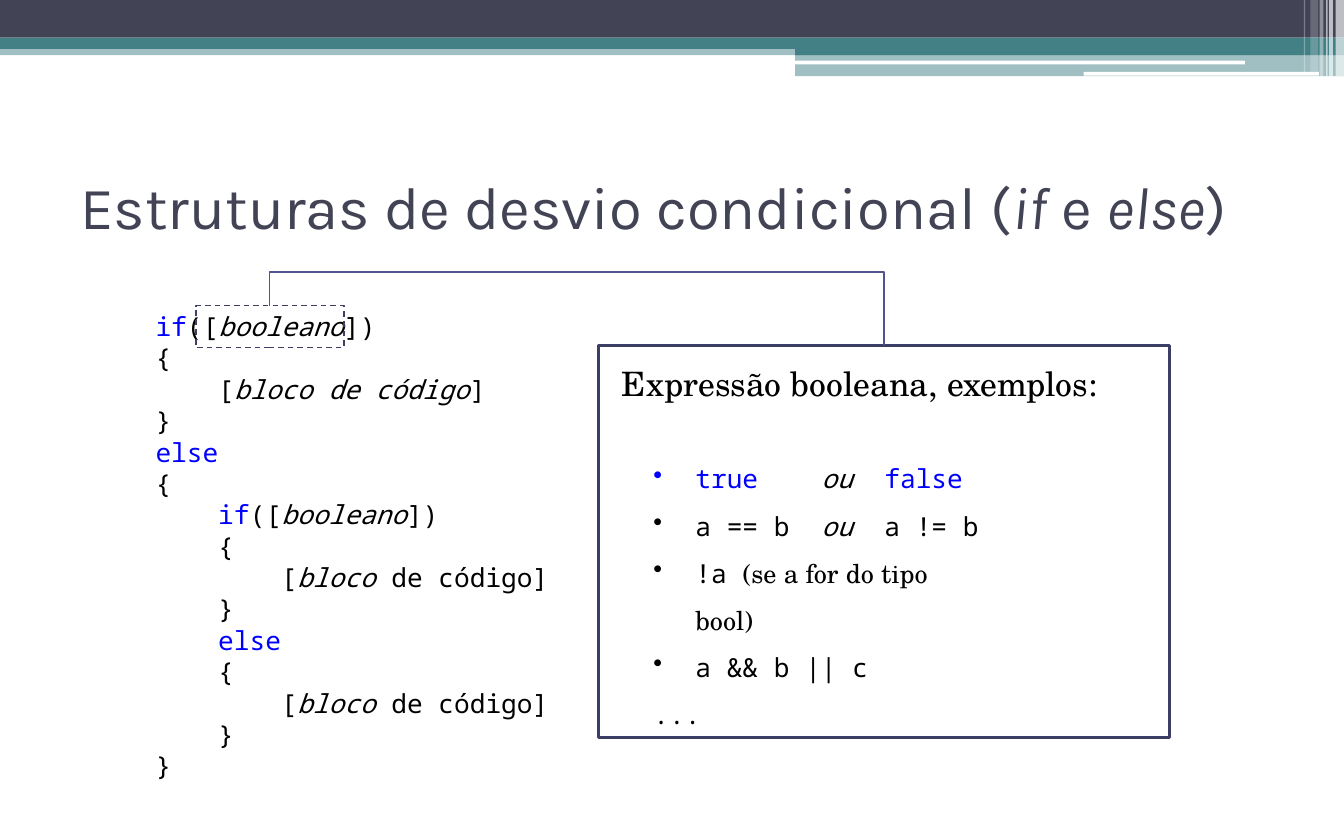
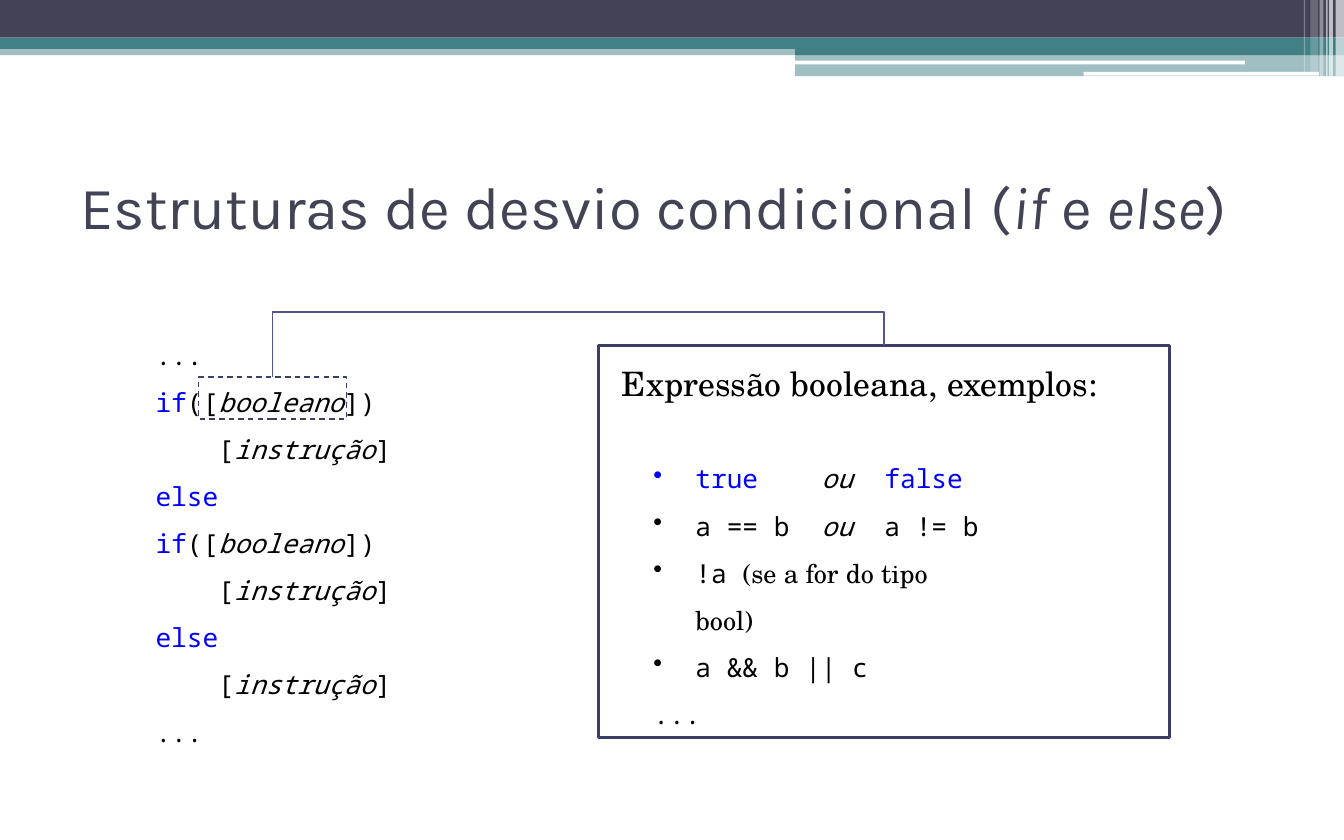
from lxml.etree import SubElement
from pptx import Presentation
from pptx.dml.color import RGBColor
from pptx.enum.dml import MSO_LINE_DASH_STYLE as DASH
from pptx.enum.shapes import MSO_CONNECTOR as CONN, MSO_SHAPE as SHAPE
from pptx.enum.text import MSO_ANCHOR as ANCHOR
from pptx.oxml.ns import qn
from pptx.util import Pt

NAVY, TEAL, WHITE = "424456", "438086", "FFFFFF"
FRAME, LINK, BLACK, BLUE = "3D3E66", "53548A", "000000", "0000FF"
HEAD, MONO, SERIF = "Karla", "Noto Sans Mono", "TeX Gyre Schola"

TITLE = [("Estruturas de desvio condicional (", ""), ("if", "i"), (" e ", ""), ("else", "i"), (")", "")]
BOOL = [("([", ""), ("booleano", "i"), ("])", "")]
BLOCK = [("        [", ""), ("bloco", "i"), (" de código]", "")]
STEP = [("    [", ""), ("instrução", "i"), ("]", "")]
DOTS = [("...", "")]

BLOCK_CODE = [
    [("if", "b")] + BOOL,
    [("{", "")],
    [("    [", ""), ("bloco de código", "i"), ("]", "")],
    [("}", "")],
    [("else", "b")],
    [("{", "")],
    [("    if", "b")] + BOOL,
    [("    {", "")],
    BLOCK,
    [("    }", "")],
    [("    else", "b")],
    [("    {", "")],
    BLOCK,
    [("    }", "")],
    [("}", "")],
]
SHORT_CODE = [
    DOTS,
    [("if", "b")] + BOOL,
    STEP,
    [("else if", "b")] + BOOL,
    STEP,
    [("else", "b")],
    STEP,
    DOTS,
]
EXAMPLES = [
    [("true\t", "b"), ("ou", "i"), ("\tfalse", "b")],
    [("a == b\t", ""), ("ou", "i"), ("\ta != b", "")],
    [("!a ", ""), ("(se a for do tipo bool)", "s")],
    [("a && b || c", "")],
]


def rgb(color):
    """Turn a hex string into a colour."""
    return RGBColor.from_string(color)


def add_box(s, x, y, w, h, fill=None, alpha=100, line=None, weight=1, kind=SHAPE.RECTANGLE):
    """Add a preset shape with an optional fill, opacity and outline."""
    sp = s.shapes.add_shape(kind, Pt(x), Pt(y), Pt(w), Pt(h))
    sp.shadow.inherit = False
    if fill:
        sp.fill.solid()
        sp.fill.fore_color.rgb = rgb(fill)
        if alpha < 100:
            clr = sp.fill._xPr.find(qn("a:solidFill"))[0]
            SubElement(clr, qn("a:alpha"), val=str(alpha * 1000))
    else:
        sp.fill.background()
    if line:
        sp.line.color.rgb = rgb(line)
        sp.line.width = Pt(weight)
    else:
        sp.line.fill.background()
    return sp


def add_bullet(p, indent, stops):
    """Give a paragraph a hanging bullet and tab stops."""
    pPr = p._p.get_or_add_pPr()
    pPr.set("marL", str(Pt(indent)))
    pPr.set("indent", str(-Pt(indent)))
    SubElement(pPr, qn("a:buChar"), char="•")
    tabs = SubElement(pPr, qn("a:tabLst"))
    for stop in stops:
        SubElement(tabs, qn("a:tab"), pos=str(Pt(stop)), algn="l")


def add_text(s, x, y, w, h, lines, size, font, color=BLACK, spacing=1, bullets=0):
    """Add a text box of styled lines, the first ones bulleted."""
    tf = s.shapes.add_textbox(Pt(x), Pt(y), Pt(w), Pt(h)).text_frame
    tf.word_wrap = True
    for i, line in enumerate(lines):
        p = tf.paragraphs[0] if i == 0 else tf.add_paragraph()
        p.line_spacing = spacing
        if i < bullets:
            add_bullet(p, 22.5, (90, 123.75))
        for text, style in line:
            r = p.add_run()
            r.text = text
            r.font.size = Pt(size)
            r.font.name = SERIF if style == "s" else font
            r.font.italic = style == "i"
            r.font.color.rgb = rgb(BLUE if style == "b" else color)
    return tf


def add_banner(s, x, y, w):
    """Draw the coloured bands and the bright stripes at the right end."""
    split, right = x + 426, x + w
    add_box(s, x, y + 23.75, w, 5.75, TEAL, 50)
    add_box(s, x, y, w, 20.25, NAVY)
    add_box(s, x, y + 20.25, w, 6, TEAL)
    add_box(s, split, y + 23.75, right - split, 5.75, TEAL)
    add_box(s, split, y + 29.5, right - split, 11.25, TEAL, 50)
    for left, top, width in ((split, 32.5, 241), (x + 580.5, 38.5, 126)):
        add_box(s, left, y + top, width, 2, WHITE, kind=SHAPE.ROUNDED_RECTANGLE)
    stripes = ((4.5, 4.5, 41, 65), (8, 2, 41, 65), (9.5, 0.75, 41, 60),
               (13, 2, 41, 40), (18, 4.25, 38.5, 20), (21.5, 0.75, 38.5, 30))
    for inset, width, height, alpha in stripes:
        add_box(s, right - inset, y, width, height, WHITE, alpha)


def add_title(s, x, y, w, h):
    """Write the slide title, centred vertically."""
    tf = add_text(s, x, y, w, h, [TITLE], 32, HEAD, NAVY)
    tf.vertical_anchor = ANCHOR.MIDDLE


def add_examples(s, x, y, w, h):
    """Draw the framed list of boolean expressions."""
    add_box(s, x, y, w, h, line=FRAME, weight=1.5)
    add_text(s, x + 5.5, y + 5.75, 270, 29, [[("Expressão booleana, exemplos:", "")]], 18, SERIF)
    add_text(s, x + 22.5, y + 51, 193.5, 134.5, EXAMPLES + [DOTS], 14, MONO,
             spacing=1.5, bullets=len(EXAMPLES))


def add_link(s, x1, y1, x2, y2, lane):
    """Join two points by an elbow that runs along the height of the lane."""
    w, h, up = abs(y2 - y1), x2 - x1, y2 < y1
    x, y = (x1 + x2 - w) / 2, (y1 + y2 - h) / 2
    top, bottom = (y + h, y) if up else (y, y + h)
    c = s.shapes.add_connector(CONN.ELBOW, Pt(x + w), Pt(top), Pt(x), Pt(bottom))
    c.line.color.rgb = rgb(LINK)
    c.line.width = Pt(0.75)
    spPr = c._element.spPr
    spPr.find(qn("a:xfrm")).set("rot", str((90 if up else 270) * 60000))
    bend = round((lane - y1) / (y2 - y1) * 100000)
    guides = spPr.find(qn("a:prstGeom")).find(qn("a:avLst"))
    SubElement(guides, qn("a:gd"), name="adj1", fmla=f"val {bend}")
    SubElement(spPr, qn("a:effectLst"))


def add_slide(prs, code, code_box, spacing, mark, lane):
    """Build a slide with code, a marked condition and its examples."""
    s = prs.slides.add_slide(prs.slide_layouts[6])
    add_banner(s, 0, 0, 720)
    add_text(s, *code_box, code, 14, MONO, spacing=spacing)
    frame = (320.5, 185, 306, 210)
    add_examples(s, *frame)
    left, top = mark
    add_link(s, left + 39.5, top, frame[0] + frame[2] / 2, frame[1], lane)
    dashed = add_box(s, left, top, 79.25, 22.5, line=FRAME, weight=0.75)
    dashed.line.dash_style = DASH.DASH
    add_title(s, 36, 75, 648, 70)


def main():
    """Build the two slides and save them."""
    prs = Presentation()
    prs.slide_width, prs.slide_height = Pt(720), Pt(450)
    add_slide(prs, BLOCK_CODE, (76.25, 162.75, 244, 262), 1, (105, 163.75), 145.75)
    add_slide(prs, SHORT_CODE, (76.25, 170, 163.5, 211), 1.5, (106.5, 202), 167.25)
    prs.save("out.pptx")


if __name__ == "__main__":
    main()
